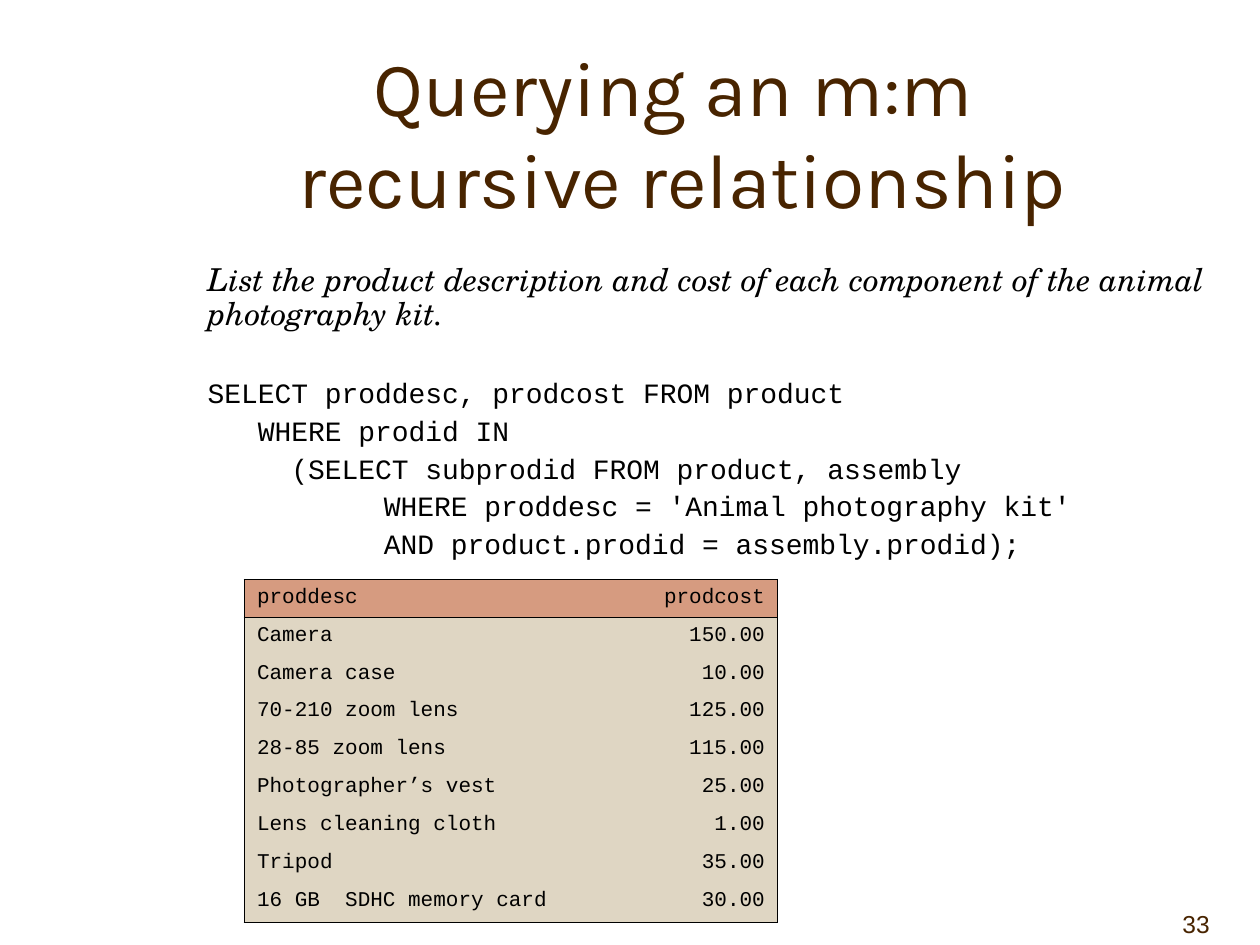
"""Build a slide on querying a many-to-many recursive relationship."""
from pptx import Presentation
from pptx.dml.color import RGBColor
from pptx.enum.text import MSO_ANCHOR, MSO_AUTO_SIZE, PP_ALIGN
from pptx.oxml.xmlchemy import OxmlElement
from pptx.util import Inches, Pt

BROWN = RGBColor(0x48, 0x24, 0x00)
BLACK = RGBColor(0x00, 0x00, 0x00)
HEADER_FILL = RGBColor(0xD6, 0x9B, 0x80)
BODY_FILL = RGBColor(0xDF, 0xD6, 0xC3)

QUESTION = ("List the product description and cost of each component "
            "of the animal photography kit.")
QUERY = [
    ("SELECT proddesc, prodcost FROM product", 0.38),
    ("   WHERE prodid IN", 0.38),
    ("     (SELECT subprodid FROM product, assembly", 0.38),
    ("   WHERE proddesc = 'Animal photography kit'", 1.38),
    ("   AND product.prodid = assembly.prodid);", 1.38),
]
ROWS = [
    ("proddesc", "prodcost"),
    ("Camera", "150.00"),
    ("Camera case", "10.00"),
    ("70-210 zoom lens", "125.00"),
    ("28-85 zoom lens", "115.00"),
    ("Photographer’s vest", "25.00"),
    ("Lens cleaning cloth", "1.00"),
    ("Tripod", "35.00"),
    ("16 GB  SDHC memory card", "30.00"),
]


def style_font(paragraph, name, size, color, italic=False):
    for run in paragraph.runs:
        run.font.name = name
        run.font.size = Pt(size)
        run.font.italic = italic
        run.font.color.rgb = color


def set_border(cell, side, visible):
    line = OxmlElement(f"a:ln{side}")
    line.set("w", str(Pt(1)))
    if visible:
        fill = OxmlElement("a:solidFill")
        color = OxmlElement("a:srgbClr")
        color.set("val", str(BLACK))
        fill.append(color)
    else:
        fill = OxmlElement("a:noFill")
    line.append(fill)
    cell._tc.get_or_add_tcPr().append(line)


presentation = Presentation()
presentation.slide_width = Inches(10)
presentation.slide_height = Inches(7.5)
slide = presentation.slides.add_slide(presentation.slide_layouts[5])

title = slide.shapes.title
title.left, title.top = Inches(1.17), Inches(0.42)
title.width, title.height = Inches(8.5), Inches(1.25)
title_frame = title.text_frame
title_frame.text = "Querying an m:m \vrecursive relationship"
title_frame.auto_size = MSO_AUTO_SIZE.NONE
title_frame.vertical_anchor = MSO_ANCHOR.MIDDLE
title_frame.paragraphs[0].alignment = PP_ALIGN.CENTER
style_font(title_frame.paragraphs[0], "Karla", 44, BROWN)

body = slide.shapes.add_textbox(Inches(1.17), Inches(2.05), Inches(9.3), Inches(2.43))
body_frame = body.text_frame
body_frame.word_wrap = True
for index, (text, indent) in enumerate([(QUESTION, 0.38)] + QUERY):
    paragraph = body_frame.add_paragraph() if index else body_frame.paragraphs[0]
    paragraph.text = text
    paragraph.line_spacing = 0.9
    paragraph._p.get_or_add_pPr().set("marL", str(Inches(indent)))
    if index == 0:
        style_font(paragraph, "TeX Gyre Schola", 18, BLACK, italic=True)
    else:
        paragraph.space_before = Pt(27 if index == 1 else 4.2)
        style_font(paragraph, "Courier New", 16, BLACK)

table = slide.shapes.add_table(
    len(ROWS), 2, Inches(1.94), Inches(4.6), Inches(4.23), Inches(2.64)).table
table.first_row = False
table.horz_banding = False
table.columns[0].width = Inches(3.01)
table.columns[1].width = Inches(1.22)
last_row = len(ROWS) - 1
for row_index, row in enumerate(ROWS):
    table.rows[row_index].height = Inches(0.32 if row_index == last_row else 0.29)
    for column_index, text in enumerate(row):
        cell = table.cell(row_index, column_index)
        cell.text = text
        paragraph = cell.text_frame.paragraphs[0]
        paragraph.alignment = PP_ALIGN.RIGHT if column_index else PP_ALIGN.LEFT
        style_font(paragraph, "Courier New", 12, BLACK)
        set_border(cell, "L", column_index == 0)
        set_border(cell, "R", column_index == 1)
        set_border(cell, "T", row_index in (0, 1))
        set_border(cell, "B", row_index in (0, last_row))
        cell.fill.solid()
        cell.fill.fore_color.rgb = BODY_FILL if row_index else HEADER_FILL

number = slide.shapes.add_textbox(Inches(8.7), Inches(7), Inches(1), Inches(0.5))
number_frame = number.text_frame
number_frame.word_wrap = True
number_frame.vertical_anchor = MSO_ANCHOR.BOTTOM
number_frame.text = "33"
number_frame.paragraphs[0].alignment = PP_ALIGN.RIGHT
style_font(number_frame.paragraphs[0], "Arial", 14, BROWN)

presentation.save("out.pptx")
